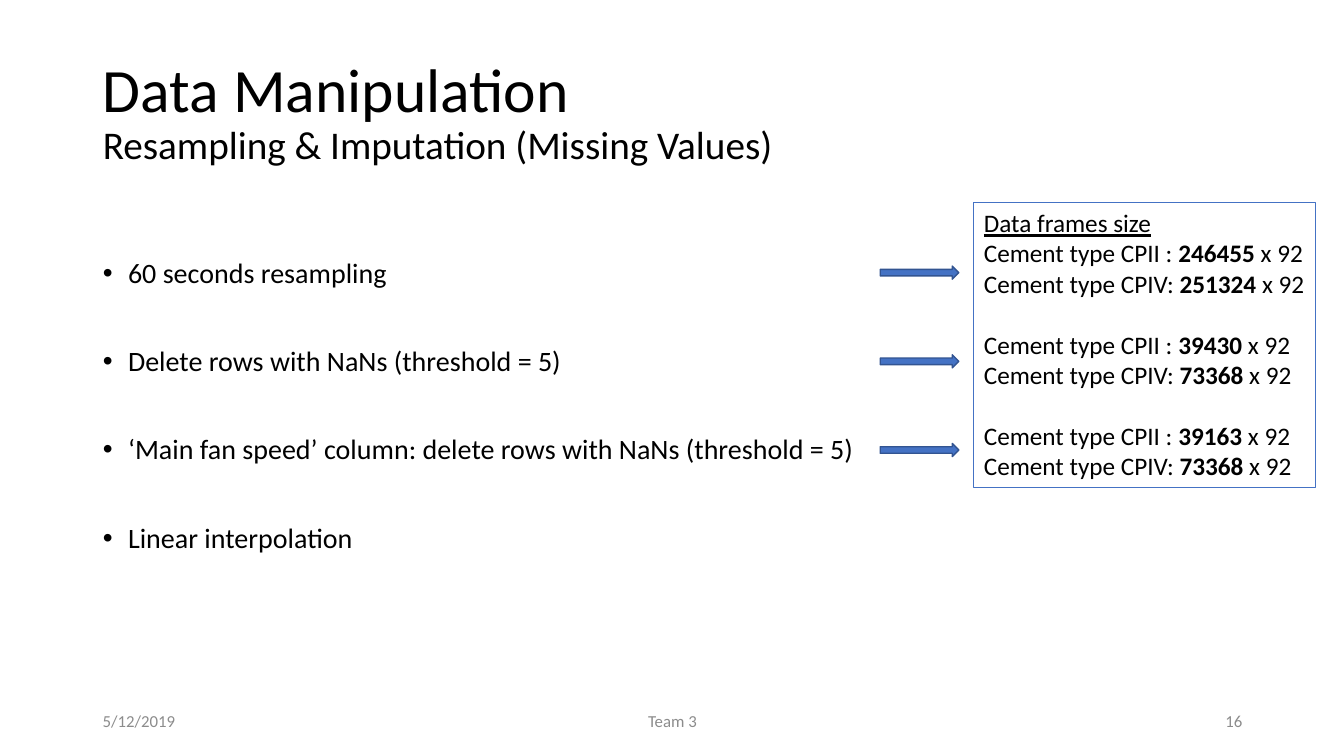
from pptx import Presentation
from pptx.dml.color import RGBColor
from pptx.enum import shapes, text
from pptx.util import Inches, Pt

BLACK = RGBColor(0x00, 0x00, 0x00)
GREY = RGBColor(0x8C, 0x8C, 0x8C)
BLUE = RGBColor(0x44, 0x72, 0xC4)
NAVY = RGBColor(0x32, 0x54, 0x91)
FACE = "Calibri"
PITCH = 0.88  # distance between steps

STEPS = [
    "60 seconds resampling",
    "Delete rows with NaNs (threshold = 5)",
    "‘Main fan speed’ column: delete rows with NaNs (threshold = 5)",
    "Linear interpolation",
]
SIZES = [("246455", "251324"), ("39430", "73368"), ("39163", "73368")]
FOOTER = [
    (0.92, 3, "5/12/2019", text.PP_ALIGN.LEFT),
    (4.42, 4.5, "Team 3", text.PP_ALIGN.CENTER),
    (9.42, 3, "16", text.PP_ALIGN.RIGHT),
]


def style(font, size, color=BLACK):
    font.name, font.size = FACE, Pt(size)
    font.color.rgb = color


def place(shape, x, y, w, h):
    shape.left, shape.top = Inches(x), Inches(y)
    shape.width, shape.height = Inches(w), Inches(h)


def add_title(slide, x, y, w, h):
    title = slide.shapes.title
    place(title, x, y, w, h)
    frame = title.text_frame
    frame.auto_size = text.MSO_AUTO_SIZE.NONE
    frame.vertical_anchor = text.MSO_ANCHOR.MIDDLE
    para = frame.paragraphs[0]
    para.alignment = text.PP_ALIGN.LEFT
    para.line_spacing = 0.9
    head = para.add_run()
    head.text = "Data Manipulation"
    style(head.font, 44)
    para.add_line_break()
    sub = para.add_run()
    sub.text = "Resampling & Imputation (Missing Values)"
    style(sub.font, 28)


def add_steps(slide, x, y, w, h):
    body = slide.placeholders[1]
    place(body, x, y, w, h)
    frame = body.text_frame
    frame.auto_size = text.MSO_AUTO_SIZE.NONE
    frame.text = "\n".join(STEPS)
    for i, para in enumerate(frame.paragraphs):
        props = para._p.get_or_add_pPr()
        props.set("marL", str(Inches(0.25)))
        props.set("indent", str(Inches(-0.25)))
        para.line_spacing = 0.9
        para.space_before = Pt(41.5 if i else 0)
        style(para.font, 20)


def add_sizes(slide, x, y, w, h):
    box = slide.shapes.add_shape(
        shapes.MSO_SHAPE.RECTANGLE, Inches(x), Inches(y), Inches(w), Inches(h))
    box.shadow.inherit = False
    box.fill.background()
    box.line.color.rgb = BLUE
    box.line.width = Pt(0.75)
    frame = box.text_frame
    frame.word_wrap = True
    frame.vertical_anchor = text.MSO_ANCHOR.TOP
    head = frame.paragraphs[0]
    head.text = "Data frames size"
    head.alignment = text.PP_ALIGN.LEFT
    style(head.font, 18)
    head.font.underline = True
    for i, pair in enumerate(SIZES):
        for label, count in zip(("CPII : ", "CPIV: "), pair):
            para = frame.add_paragraph()
            para.alignment = text.PP_ALIGN.LEFT
            style(para.font, 18)
            if i and label == "CPII : ":
                para.space_before = Pt(22)
            para.add_run().text = "Cement type " + label
            rows = para.add_run()
            rows.text = count
            rows.font.bold = True
            para.add_run().text = " x 92"


def add_arrows(slide, x, y, w, h):
    """Draw one arrow of the given size per pair of sizes, downwards from y."""
    for i in range(len(SIZES)):
        arrow = slide.shapes.add_shape(
            shapes.MSO_SHAPE.RIGHT_ARROW,
            Inches(x), Inches(y + i * PITCH), Inches(w), Inches(h))
        arrow.shadow.inherit = False
        arrow.fill.solid()
        arrow.fill.fore_color.rgb = BLUE
        arrow.line.color.rgb = NAVY
        arrow.line.width = Pt(1)


def add_footer(slide, y, h):
    for x, w, words, align in FOOTER:
        box = slide.shapes.add_textbox(
            Inches(x), Inches(y), Inches(w), Inches(h))
        frame = box.text_frame
        frame.word_wrap = True
        frame.vertical_anchor = text.MSO_ANCHOR.MIDDLE
        para = frame.paragraphs[0]
        para.text = words
        para.alignment = align
        style(para.font, 12, GREY)


def main():
    deck = Presentation()
    deck.slide_width, deck.slide_height = Inches(13.33), Inches(7.5)
    slide = deck.slides.add_slide(deck.slide_layouts[1])
    add_title(slide, 0.92, 0.4, 11.5, 1.45)
    add_steps(slide, 0.92, 2.52, 7.68, 3.03)
    add_footer(slide, 6.95, 0.4)
    add_sizes(slide, 9.66, 2.01, 3.39, 2.83)
    add_arrows(slide, 8.73, 2.64, 0.78, 0.13)
    deck.save("out.pptx")


if __name__ == "__main__":
    main()
